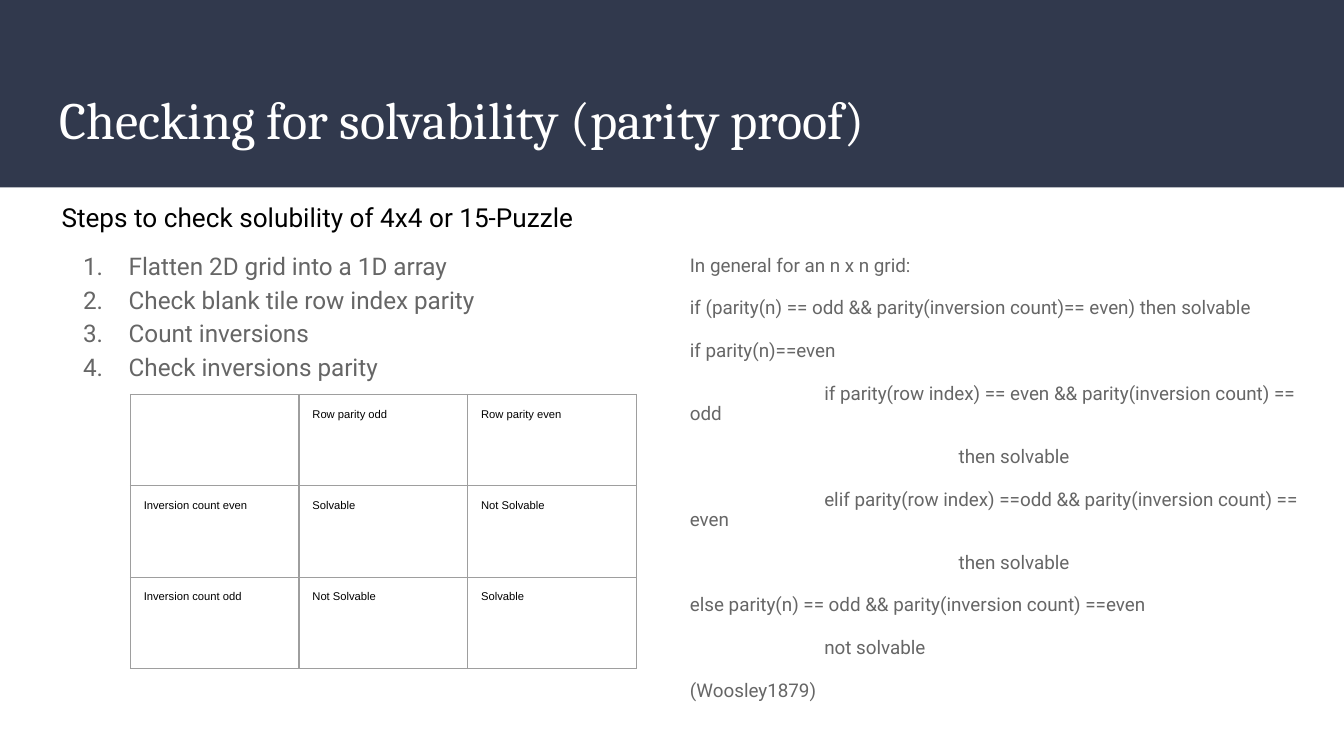
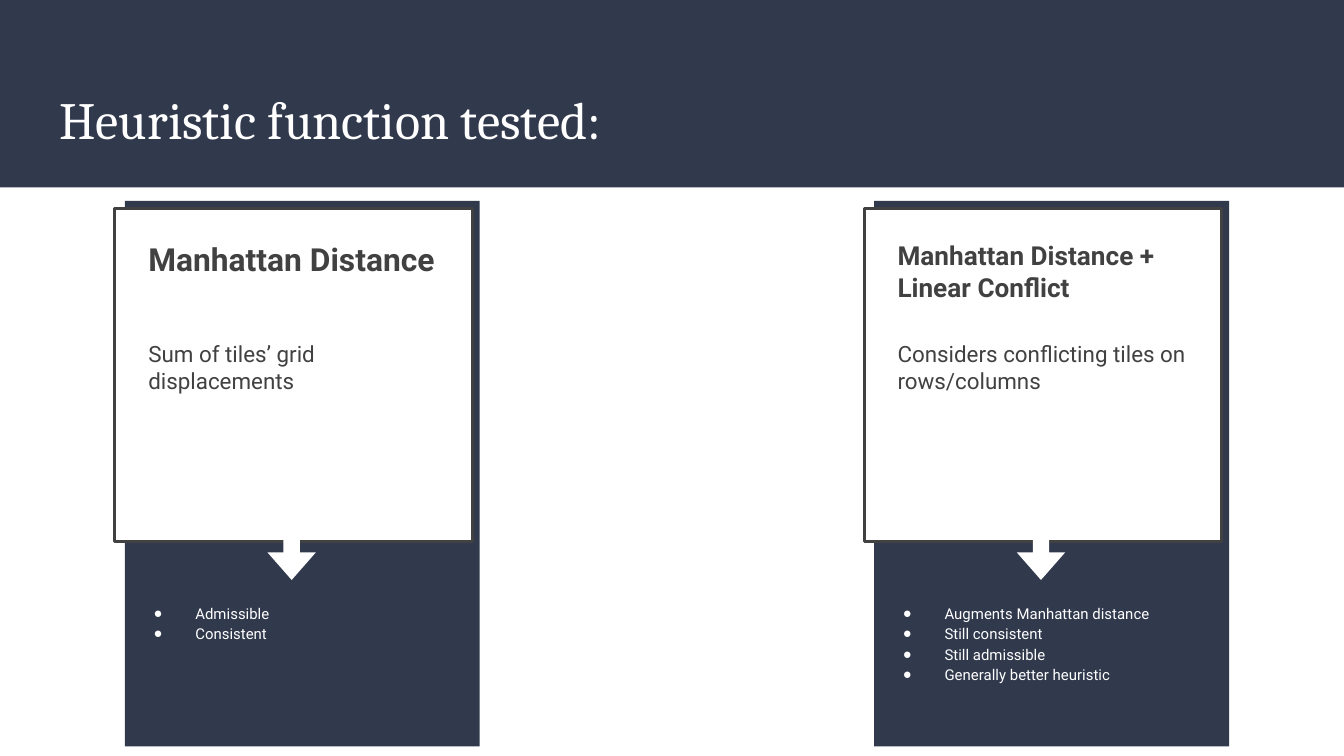
import pptx
import pptx.dml.color
import pptx.enum.shapes
import pptx.oxml.ns
import pptx.util
from lxml import etree

PX = 4572  # 200 px to the inch
INSET = 20 * PX
RGB = pptx.dml.color.RGBColor
NAVY = RGB(0x31, 0x39, 0x4D)
WHITE = RGB(0xFF, 0xFF, 0xFF)
BLACK = RGB(0, 0, 0)
GRAY = RGB(0x66, 0x66, 0x66)
DARK = RGB(0x41, 0x41, 0x41)
BORDER = RGB(0x9E, 0x9E, 0x9E)
SHAPE = pptx.enum.shapes.MSO_SHAPE
qn = pptx.oxml.ns.qn


def add_text(shapes, box, text, size, color, font="Roboto", bold=False,
             spacing=None, before=0, after=0, bullet=None, hang=0):
    """Add a text box, one paragraph a line; bullet is a character or "1."."""
    tb = shapes.add_textbox(*(v * PX for v in box))
    tf = tb.text_frame
    tf.word_wrap = True
    tf.margin_left = tf.margin_right = tf.margin_top = tf.margin_bottom = INSET
    lines = text.split("\n")
    for i, line in enumerate(lines):
        p = tf.add_paragraph() if i else tf.paragraphs[0]
        if spacing:
            p.line_spacing = spacing
        p.space_before = pptx.util.Pt(before if i else 0)
        p.space_after = pptx.util.Pt(after if i == len(lines) - 1 else 0)
        r = p.add_run()
        r.text = line
        r.font.name, r.font.size, r.font.bold = font, pptx.util.Pt(size), bold
        r.font.color.rgb = color
        ppr = p._p.get_or_add_pPr()
        ppr.set("defTabSz", str(200 * PX))
        if bullet:
            ppr.set("marL", str(100 * PX))
            ppr.set("indent", str(-hang * PX))
            clr = etree.SubElement(ppr, qn("a:buClr"))
            etree.SubElement(clr, qn("a:srgbClr"), val=str(color))
            if bullet == "1.":
                etree.SubElement(ppr, qn("a:buFont"), typeface=font)
                etree.SubElement(ppr, qn("a:buAutoNum"), type="arabicPeriod")
            else:
                etree.SubElement(ppr, qn("a:buFont"), typeface="Arial")
                etree.SubElement(ppr, qn("a:buChar"), char=bullet)


def add_box(shapes, box, fill, line=None, kind=SHAPE.RECTANGLE):
    sp = shapes.add_shape(kind, *(v * PX for v in box))
    sp.shadow.inherit = False
    sp.fill.solid()
    sp.fill.fore_color.rgb = fill
    if line is None:
        sp.line.fill.background()
    else:
        sp.line.color.rgb = line
        sp.line.width = pptx.util.Pt(1.5)
    return sp


prs = pptx.Presentation()
prs.slide_width, prs.slide_height = 2000 * PX, 1125 * PX

slides = []
for title in ("Checking for solvability (parity proof)", "Heuristic function tested:"):
    s = prs.slides.add_slide(prs.slide_layouts[6])
    add_box(s.shapes, (0, 0, 2000, 279), NAVY)
    add_text(s.shapes, (69, 110, 1864, 136), title, 28, WHITE, font="Cambria")
    slides.append(s)
solvability, heuristics = slides

# Slide 1: steps, parity table and the general rule
STEPS = """Flatten 2D grid into a 1D array
Check blank tile row index parity
Count inversions
Check inversions parity"""
RULE = """In general for an n x n grid:
if (parity(n) == odd && parity(inversion count)== even) then solvable
if parity(n)==even
\tif parity(row index) == even && parity(inversion count) == odd
\t\tthen solvable
\telif parity(row index) ==odd && parity(inversion count) == even
\t\tthen solvable
else parity(n) == odd && parity(inversion count) ==even
\tnot solvable
(Woosley1879)"""
PARITY = [
    ["", "Row parity odd", "Row parity even"],
    ["Inversion count even", "Solvable", "Not Solvable"],
    ["Inversion count odd", "Not Solvable", "Solvable"],
]

add_text(solvability.shapes, (72, 348, 874, 648), STEPS, 13, GRAY,
         spacing=1.15, bullet="1.", hang=68)
add_text(solvability.shapes, (72, 280, 874, 82),
         "Steps to check solubility of 4x4 or 15-Puzzle", 14, BLACK)

COL_W, ROW_H = 251, 136
table = solvability.shapes.add_table(
    3, 3, 194 * PX, 587 * PX, 3 * COL_W * PX, 3 * ROW_H * PX).table
table.first_row = table.horz_banding = False
for col in table.columns:
    col.width = COL_W * PX
for row, texts in zip(table.rows, PARITY):
    row.height = ROW_H * PX
    for cell, text in zip(row.cells, texts):
        cell.margin_left = cell.margin_right = INSET
        cell.margin_top = cell.margin_bottom = INSET
        tcpr = cell._tc.get_or_add_tcPr()
        for side in ("lnL", "lnR", "lnT", "lnB"):
            ln = etree.SubElement(tcpr, qn("a:" + side), w=str(pptx.util.Pt(0.75)))
            fill = etree.SubElement(ln, qn("a:solidFill"))
            etree.SubElement(fill, qn("a:srgbClr"), val=str(BORDER))
        cell.fill.background()
        if text:
            r = cell.text_frame.paragraphs[0].add_run()
            r.text = text
            r.font.name, r.font.size = "Arial", pptx.util.Pt(6)
            r.font.color.rgb = BLACK

add_text(solvability.shapes, (1007, 361, 954, 648), RULE, 10.1, GRAY,
         spacing=0.9, before=12, after=12)

# Slide 2: one card for each heuristic
CARDS = [
    (171, "Manhattan Distance", 17, "Sum of tiles’ grid displacements",
     "Admissible\nConsistent"),
    (1286, "Manhattan Distance + Linear Conflict", 14,
     "Considers conflicting tiles on rows/columns",
     "Augments Manhattan distance\nStill consistent\nStill admissible\n"
     "Generally better heuristic"),
]
for x, name, size, summary, traits in CARDS:
    card = heuristics.shapes.add_group_shape().shapes
    add_box(card, (x + 15, 299, 528, 812), NAVY)
    add_box(card, (x, 310, 532, 496), WHITE, line=DARK)
    add_text(card, (x + 30, 486, 472, 122), summary, 12, DARK)
    add_text(card, (x + 30, 337, 472, 134), name, size, DARK, bold=True)
    arrow = add_box(card, (x + 224, 788, 78, 72), WHITE, kind=SHAPE.RIGHT_ARROW)
    arrow.rotation = 90
    arrow.adjustments[0], arrow.adjustments[1] = 0.34, 0.57
    add_text(card, (x, 875, 528, 216), traits, 8, WHITE,
             spacing=1.15, bullet="●", hang=62)

prs.save("out.pptx")
